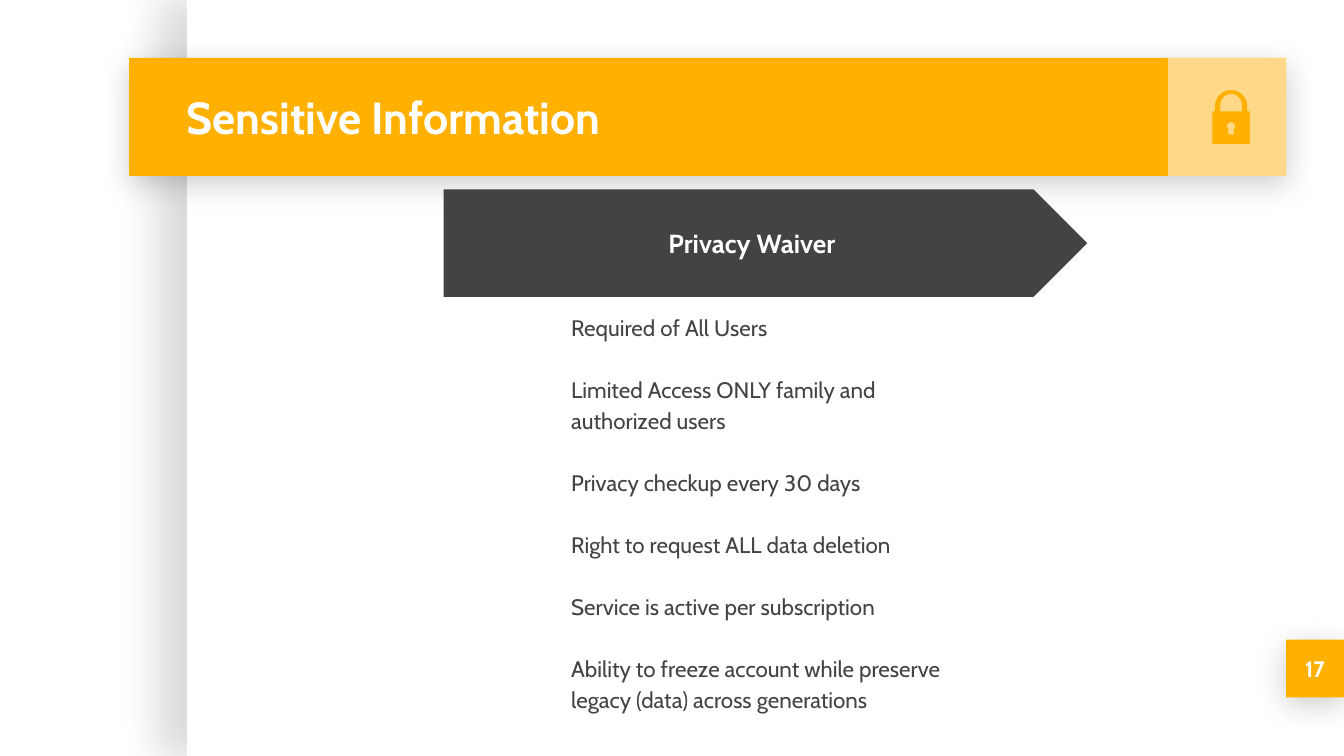
from math import cos, radians, sin
from typing import NamedTuple, Optional

from lxml.etree import SubElement
from pptx import Presentation
from pptx.dml.color import RGBColor
from pptx.enum.shapes import MSO_SHAPE
from pptx.enum.text import MSO_ANCHOR, MSO_AUTO_SIZE, PP_ALIGN
from pptx.oxml.ns import qn
from pptx.util import Inches, Pt

COLORS = {"white": "FFFFFF", "gold": "FFB000", "dark": "434343", "black": "000000"}
FONTS = {
    "title": {"name": "Cabin", "size": Pt(24), "bold": True},
    "label": {"name": "Cabin", "size": Pt(14), "bold": True},
    "number": {"name": "Cabin", "size": Pt(12), "bold": True},
    "body": {"name": "Cabin", "size": Pt(12), "bold": False},
}
FRAME = {"word_wrap": True, "auto_size": MSO_AUTO_SIZE.NONE}
FRAME.update({f"margin_{side}": Inches(0.1) for side in ("left", "top", "right", "bottom")})
TERMS = [
    "Required of All Users",
    "Limited Access ONLY family and authorized users",
    "Privacy checkup every 30 days",
    "Right to request ALL data deletion",
    "Service is active per subscription",
    "Ability to freeze account while preserve legacy (data) across generations",
]


class Shade(NamedTuple):
    alpha: int
    blur: float
    dist: float
    angle: int


class Block(NamedTuple):
    box: tuple
    fill: str
    kind: MSO_SHAPE = MSO_SHAPE.RECTANGLE
    shade: Optional[Shade] = None
    alpha: int = 100
    text: str = ""
    font: str = "label"


DROP = Shade(20, 16.9, 3.8, 90)
BLOCKS = [
    # Page panel, title band and icon tile
    Block((1.39, 0, 8.61, 5.63), "white", shade=Shade(15, 22.5, 15, 180)),
    Block((0.96, 0.43, 8.61, 0.88), "gold", shade=DROP),
    Block((8.69, 0.43, 0.88, 0.88), "white", alpha=53),
    # Page number and arrow heading
    Block((9.57, 4.76, 0.43, 0.43), "gold", shade=DROP, text="17", font="number"),
    Block((3.3, 1.41, 4.79, 0.8), "dark", MSO_SHAPE.PENTAGON, text="Privacy Waiver"),
]


def style(item, values: dict) -> None:
    for name, value in values.items():
        setattr(item, name, value)


def write(shape, lines: list, font: str, color: str, align: PP_ALIGN, anchor: MSO_ANCHOR) -> None:
    frame = shape.text_frame
    style(frame, {**FRAME, "vertical_anchor": anchor})
    frame.text = "\n".join(lines)
    for para in frame.paragraphs:
        para.alignment = align
        for run in para.runs:
            style(run.font, FONTS[font])
            run.font.color.rgb = RGBColor.from_string(COLORS[color])


def space(body) -> None:
    for i, para in enumerate(body.text_frame.paragraphs):
        style(para, {"line_spacing": 1.15, "space_before": Pt(16.6 if i else 0)})
        props = para._p.get_or_add_pPr()
        props.set("marL", "0")
        props.set("indent", "0")
        SubElement(props, qn("a:buNone"))


def paint(shape, color: str, alpha: int = 100) -> None:
    shape.fill.solid()
    shape.fill.fore_color.rgb = RGBColor.from_string(COLORS[color])
    shape.line.fill.background()
    shape.shadow.inherit = False
    if alpha < 100:
        tone = shape.element.spPr.find(qn("a:solidFill")).find(qn("a:srgbClr"))
        SubElement(tone, qn("a:alpha"), val=str(alpha * 1000))


def cast(shape, shade: Shade) -> None:
    effects = shape.element.spPr.find(qn("a:effectLst"))
    outer = SubElement(effects, qn("a:outerShdw"), blurRad=str(Pt(shade.blur)),
                       dist=str(Pt(shade.dist)), dir=str(shade.angle * 60000),
                       algn="bl", rotWithShape="0")
    tone = SubElement(outer, qn("a:srgbClr"), val=COLORS["black"])
    SubElement(tone, qn("a:alpha"), val=str(shade.alpha * 1000))


def draw(slide, block: Block) -> None:
    shape = slide.shapes.add_shape(block.kind, *map(Inches, block.box))
    paint(shape, block.fill, block.alpha)
    if block.shade:
        cast(shape, block.shade)
    if block.text:
        write(shape, [block.text], block.font, "white", PP_ALIGN.CENTER, MSO_ANCHOR.MIDDLE)


def place(slide, shape, box: tuple) -> None:
    style(shape, dict(zip(("left", "top", "width", "height"), map(Inches, box))))
    slide.shapes.element.append(shape.element)  # bring to front


def arc(x: float, y: float, size: float, start: int, end: int) -> list:
    steps = 16
    turns = [radians(start + (end - start) * i / steps) for i in range(steps + 1)]
    return [(x + size * cos(t), y - size * sin(t)) for t in turns]


def lock(slide) -> None:
    mid, left, right, top, base = 9.16, 9.02, 9.3, 0.83, 1.07
    paths = [
        # Body with shackle, shackle gap, keyhole
        [(left, base), (left, top), (mid - 0.12, top), *arc(mid, 0.79, 0.12, 180, 0),
         (mid + 0.12, top), (right, top), (right, base)],
        [(mid - 0.08, top), *arc(mid, 0.78, 0.08, 180, 0), (mid + 0.08, top)],
        [(mid - 0.02, 1), *arc(mid, 0.94, 0.03, 230, -50), (mid + 0.02, 1)],
    ]
    pen = None
    for path in paths:
        spots = [(Inches(x), Inches(y)) for x, y in path]
        if pen is None:
            pen = slide.shapes.build_freeform(*spots[0])
        else:
            pen.move_to(*spots[0])
        pen.add_line_segments(spots[1:], close=True)
    paint(pen.convert_to_shape(), "gold")


def main() -> None:
    deck = Presentation()
    deck.slide_width = Inches(10)
    deck.slide_height = deck.slide_width * 9 // 16
    slide = deck.slides.add_slide(deck.slide_layouts[1])
    title, body = slide.placeholders

    for block in BLOCKS:
        draw(slide, block)

    # Title, above the band
    place(slide, title, (1.29, 0.43, 7.37, 0.88))
    write(title, ["Sensitive Information"], "title", "white", PP_ALIGN.LEFT, MSO_ANCHOR.MIDDLE)

    # Waiver terms
    place(slide, body, (4.15, 2.21, 3.16, 2.31))
    write(body, TERMS, "body", "dark", PP_ALIGN.LEFT, MSO_ANCHOR.TOP)
    space(body)

    lock(slide)
    deck.save("out.pptx")


if __name__ == "__main__":
    main()
